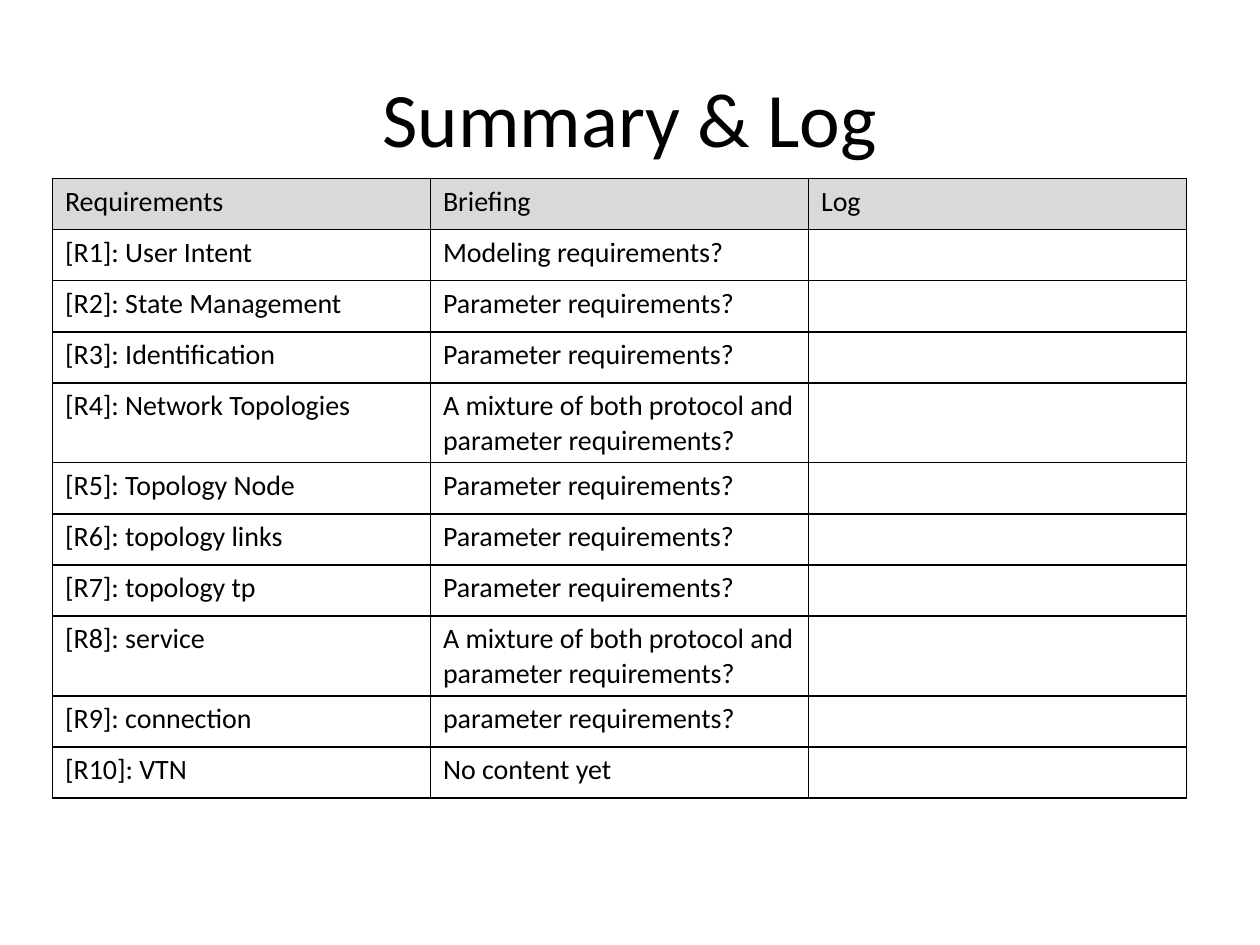
"""Build the requirements summary and log slide."""
from lxml import etree
from pptx import Presentation
from pptx.dml.color import RGBColor
from pptx.enum.text import MSO_ANCHOR, PP_ALIGN
from pptx.oxml.ns import qn
from pptx.util import Pt

CENTER = PP_ALIGN.CENTER
MIDDLE = MSO_ANCHOR.MIDDLE
BLACK = RGBColor(0x00, 0x00, 0x00)
HEADER_GRAY = RGBColor(0xD9, 0xD9, 0xD9)
FONT = "Calibri"

TITLE = "Summary & Log"
PARAMETER = "Parameter requirements?"
MIXTURE = "A mixture of both protocol and parameter requirements?"
ROWS = [
    ("Requirements", "Briefing", "Log"),
    ("[R1]: User Intent", "Modeling requirements?", ""),
    ("[R2]: State Management", PARAMETER, ""),
    ("[R3]: Identification", PARAMETER, ""),
    ("[R4]: Network Topologies", MIXTURE, ""),
    ("[R5]: Topology Node", PARAMETER, ""),
    ("[R6]: topology links", PARAMETER, ""),
    ("[R7]: topology tp", PARAMETER, ""),
    ("[R8]: service", MIXTURE, ""),
    ("[R9]: connection", "parameter requirements?", ""),
    ("[R10]: VTN", "No content yet", ""),
]
TABLE_LEFT, TABLE_TOP = 30, 102
COLUMN_WIDTH, ROW_HEIGHT = 216, 29.2
BORDER_WIDTH = 1


def add_text(paragraph, text, size):
    run = paragraph.add_run()
    run.text = text
    run.font.name = FONT
    run.font.size = Pt(size)
    run.font.bold = False
    run.font.color.rgb = BLACK


def add_borders(cell):
    properties = cell._tc.get_or_add_tcPr()
    for side in ("a:lnL", "a:lnR", "a:lnT", "a:lnB"):
        line = etree.SubElement(properties, qn(side), w=str(Pt(BORDER_WIDTH)))
        fill = etree.SubElement(line, qn("a:solidFill"))
        etree.SubElement(fill, qn("a:srgbClr"), val=str(BLACK))


def add_title(slide):
    shape = slide.shapes.add_textbox(Pt(36), Pt(21.6), Pt(648), Pt(90))
    frame = shape.text_frame
    frame.word_wrap = True
    frame.vertical_anchor = MIDDLE
    paragraph = frame.paragraphs[0]
    paragraph.alignment = CENTER
    add_text(paragraph, TITLE, 44)


def add_requirements_table(slide):
    row_count, column_count = len(ROWS), len(ROWS[0])
    table = slide.shapes.add_table(
        row_count, column_count, Pt(TABLE_LEFT), Pt(TABLE_TOP),
        Pt(column_count * COLUMN_WIDTH), Pt(row_count * ROW_HEIGHT),
    ).table
    table.horz_banding = False
    for column in table.columns:
        column.width = Pt(COLUMN_WIDTH)
    for row_index, texts in enumerate(ROWS):
        table.rows[row_index].height = Pt(ROW_HEIGHT)
        for column_index, text in enumerate(texts):
            cell = table.cell(row_index, column_index)
            add_borders(cell)
            if row_index == 0:
                cell.fill.solid()
                cell.fill.fore_color.rgb = HEADER_GRAY
            else:
                cell.fill.background()
            if text:
                add_text(cell.text_frame.paragraphs[0], text, 16)


def main():
    presentation = Presentation()
    presentation.slide_width, presentation.slide_height = Pt(720), Pt(540)
    slide = presentation.slides.add_slide(presentation.slide_layouts[6])
    add_title(slide)
    add_requirements_table(slide)
    presentation.save("out.pptx")


if __name__ == "__main__":
    main()
